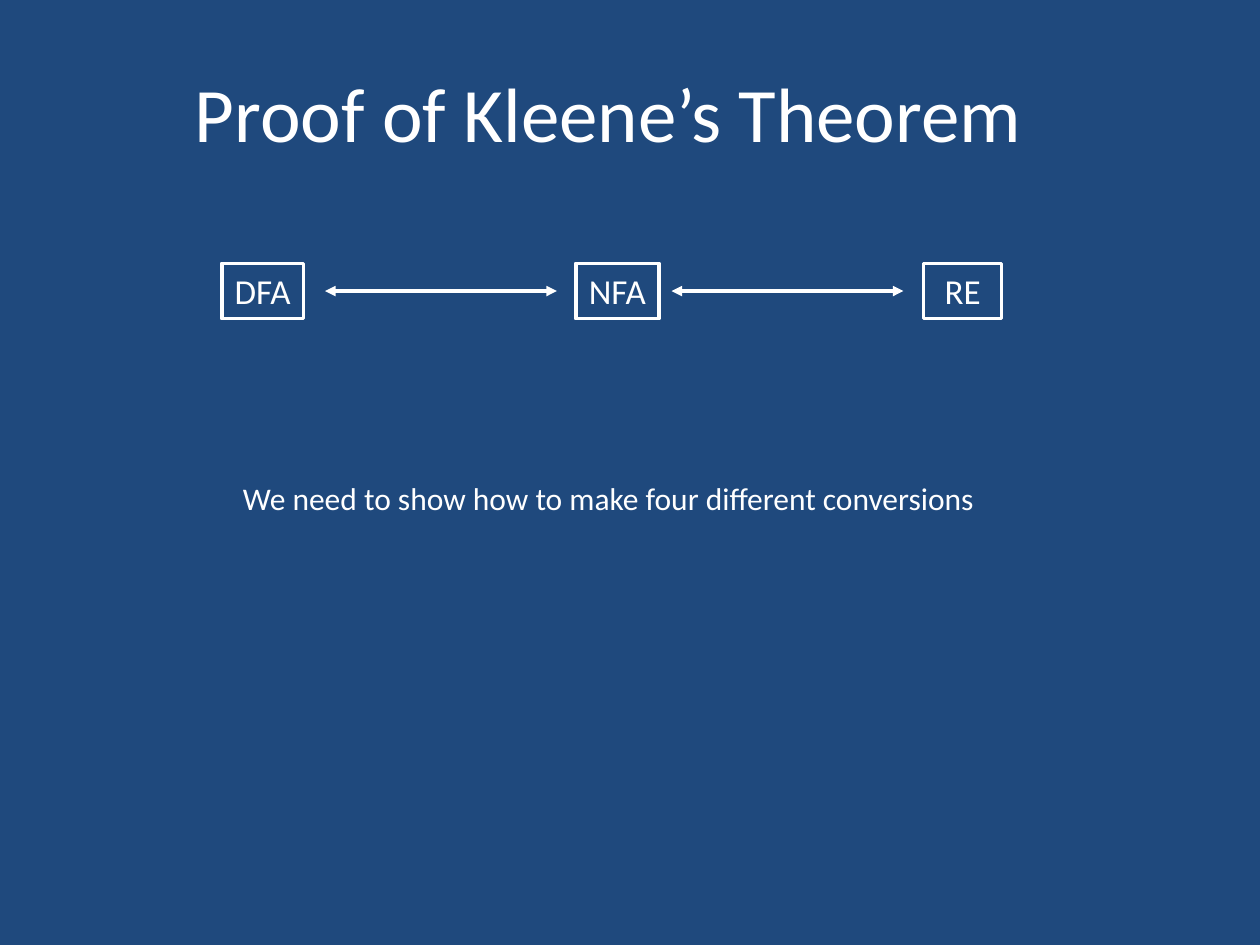
from lxml.etree import SubElement
from pptx import Presentation
from pptx.dml.color import RGBColor as RGB
from pptx.enum.shapes import MSO_CONNECTOR as CONN, MSO_SHAPE as SHAPE
from pptx.enum.text import MSO_ANCHOR as ANCHOR, PP_ALIGN as ALIGN
from pptx.oxml.ns import qn
from pptx.util import Inches, Pt

COLORS = {"background": "1F497D", "ink": "FFFFFF"}
WIDTH, HEIGHT = 10, 7.5


class Deck:
    font = "Calibri"
    line_width = 2

    def __init__(self):
        self.prs = Presentation()
        self.prs.slide_width = Inches(WIDTH)
        self.prs.slide_height = Inches(HEIGHT)
        self.slide = self.prs.slides.add_slide(self.prs.slide_layouts[5])
        fill = self.slide.background.fill
        fill.solid()
        fill.fore_color.rgb = RGB.from_string(COLORS["background"])

    def at(self, x, y):
        return Inches(x * WIDTH), Inches(y * HEIGHT)

    def label(self, sp, text, size, align, anchor, wrap):
        tf = sp.text_frame
        tf.word_wrap = wrap
        tf.vertical_anchor = anchor
        p = tf.paragraphs[0]
        p.alignment = align
        r = p.add_run()
        r.text = text
        r.font.name = self.font
        r.font.size = Pt(size)
        r.font.color.rgb = RGB.from_string(COLORS["ink"])

    def stroke(self, sp):
        sp.line.color.rgb = RGB.from_string(COLORS["ink"])
        sp.line.width = Pt(self.line_width)

    def title(self, text, x, y, w, h):
        sp = self.slide.shapes.title
        sp.left, sp.top = self.at(x, y)
        sp.width, sp.height = self.at(w, h)
        self.label(sp, text, 44, ALIGN.CENTER, ANCHOR.MIDDLE, True)

    def box(self, text, x, y, w, h):
        sp = self.slide.shapes.add_shape(SHAPE.RECTANGLE, *self.at(x, y), *self.at(w, h))
        sp.shadow.inherit = False
        sp.fill.background()
        self.stroke(sp)
        self.label(sp, text, 20, ALIGN.CENTER, ANCHOR.TOP, False)

    def arrow(self, x, y, length):
        sp = self.slide.shapes.add_connector(
            CONN.STRAIGHT, *self.at(x, y), *self.at(x + length, y))
        self.stroke(sp)
        ln = sp.line.fill._xPr
        for end in ("a:headEnd", "a:tailEnd"):
            SubElement(ln, qn(end), type="triangle")
        SubElement(sp._element.spPr, qn("a:effectLst"))

    def caption(self, text, x, y, w, h):
        sp = self.slide.shapes.add_textbox(*self.at(x, y), *self.at(w, h))
        self.label(sp, text, 18, ALIGN.LEFT, ANCHOR.TOP, False)


deck = Deck()
deck.title("Proof of Kleene\u2019s Theorem", 0.058, 0.08 / HEIGHT, 0.85, 1.61 / HEIGHT)

row_top, row_height = 2.09 / HEIGHT, 0.44 / HEIGHT
for name, x, w in (("DFA", 0.176, 0.065), ("NFA", 0.457, 0.066), ("RE", 0.733, 0.062)):
    deck.box(name, x, row_top, w, row_height)
for x in (0.258, 0.533):
    deck.arrow(x, row_top + row_height / 2, 0.184)

deck.caption("We need to show how to make four different conversions",
             0.183, 0.5, 0.608, 0.4 / HEIGHT)
deck.prs.save("out.pptx")
